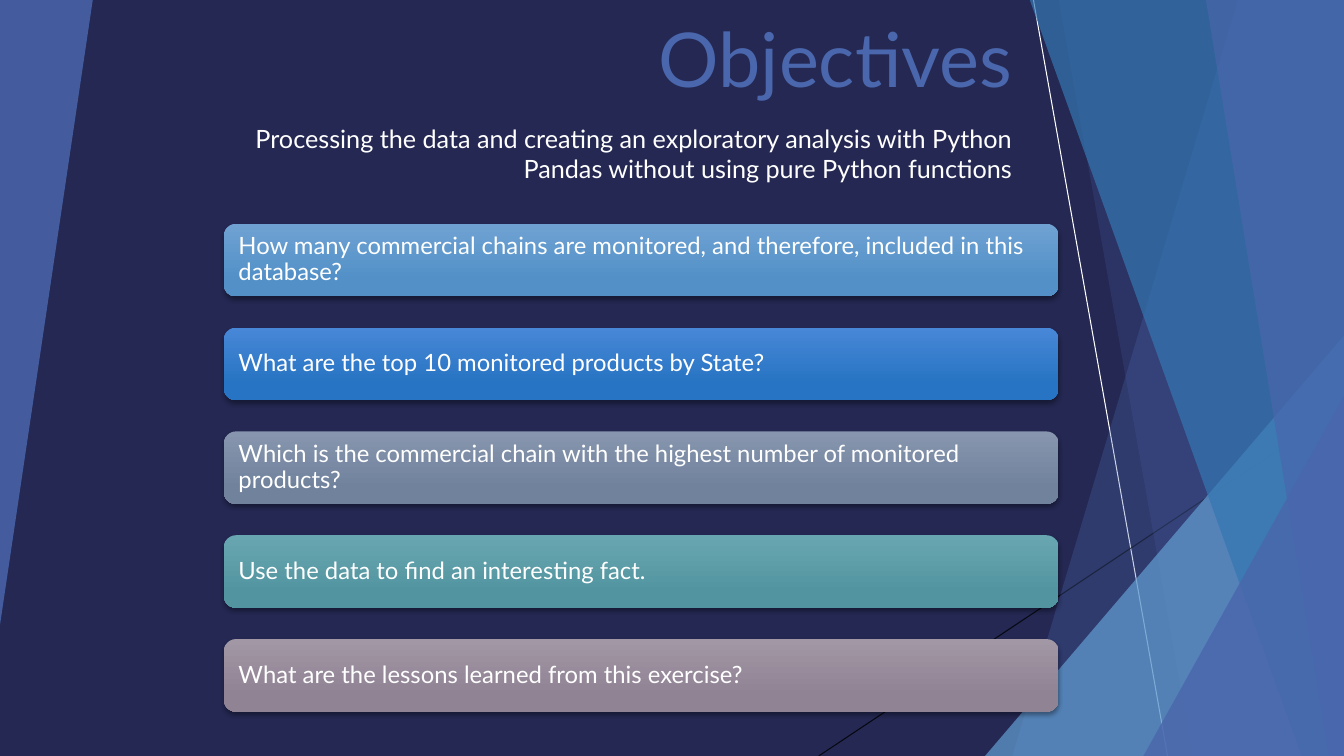
from dataclasses import dataclass

from lxml import etree
from pptx import Presentation
from pptx.dml.color import RGBColor
from pptx.enum.shapes import MSO_CONNECTOR, MSO_SHAPE
from pptx.enum.text import MSO_ANCHOR, MSO_AUTO_SIZE, PP_ALIGN
from pptx.oxml.ns import qn
from pptx.util import Inches, Pt

STRAIGHT = MSO_CONNECTOR.STRAIGHT
TRIANGLE, ROUNDED = MSO_SHAPE.RIGHT_TRIANGLE, MSO_SHAPE.ROUNDED_RECTANGLE
TRIANGLE = MSO_SHAPE.ISOSCELES_TRIANGLE
TOP, MIDDLE, BOTTOM = MSO_ANCHOR.TOP, MSO_ANCHOR.MIDDLE, MSO_ANCHOR.BOTTOM
LEFT, RIGHT = PP_ALIGN.LEFT, PP_ALIGN.RIGHT
NO_FIT = MSO_AUTO_SIZE.NONE

NAVY = RGBColor(0x24, 0x28, 0x52)
INDIGO = RGBColor(0x4A, 0x66, 0xAC)
SKY = RGBColor(0x62, 0x9D, 0xD1)
OCEAN = RGBColor(0x34, 0x77, 0xB2)
WHITE = RGBColor(0xFF, 0xFF, 0xFF)
BLACK = RGBColor(0, 0, 0)
FONT = "Lato"
WIDTH, HEIGHT = 13.33, 7.5
BAND_TOP = -0.01


@dataclass
class Ray:
    """A thin line across the facets."""
    start: tuple[float, float]
    end: tuple[float, float]
    color: RGBColor
    opacity: int


@dataclass
class Band:
    """A facet that reaches the right edge, with a slanted left side."""
    top_x: float
    bottom_x: float
    color: RGBColor
    opacity: int


@dataclass
class Wedge:
    """A triangle with its apex above its right corner."""
    left: float
    top: float
    width: float
    height: float
    color: RGBColor
    opacity: int
    rotation: int = 0


@dataclass
class Objective:
    """One question and the gradient of its bar."""
    text: str
    light: RGBColor
    dark: RGBColor


RAYS = [Ray((10.25, 0), (11.58, HEIGHT), WHITE, 100),
        Ray((WIDTH, 4.03), (8.12, HEIGHT), BLACK, 80)]
FACETS = [
    Band(12.28, 10.04, INDIGO, 30),
    Band(10.5, 11.83, INDIGO, 20),
    Wedge(9.77, 3.33, 3.56, 4.17, SKY, 72),
    Band(10.21, 12.91, OCEAN, 70),
    Band(11.96, 13.18, INDIGO, 65),
    Wedge(11.34, 3.93, 1.99, 3.57, INDIGO, 80),
    Wedge(0, 0, 0.92, 6.2, INDIGO, 85, 180),
]
OBJECTIVES = [
    Objective("How many commercial chains are monitored, and therefore, included in this database?",
              RGBColor(0x6F, 0xA2, 0xD3), RGBColor(0x52, 0x90, 0xC7)),
    Objective("What are the top 10 monitored products by State?",
              RGBColor(0x48, 0x87, 0xD7), RGBColor(0x26, 0x74, 0xC3)),
    Objective("Which is the commercial chain with the highest number of monitored products?",
              RGBColor(0x87, 0x96, 0xAE), RGBColor(0x71, 0x82, 0x9D)),
    Objective("Use the data to find an interesting fact.",
              RGBColor(0x68, 0xA7, 0xB2), RGBColor(0x52, 0x95, 0xA0)),
    Objective("What are the lessons learned from this exercise?",
              RGBColor(0xA2, 0x97, 0xA5), RGBColor(0x90, 0x83, 0x94)),
]
BAR_LEFT, BAR_TOP, BAR_WIDTH, BAR_HEIGHT = 2.22, 2.22, 8.28, 0.72
BAR_PITCH = 1.03


def set_opacity(holder, percent: int) -> None:
    """Give the solid colours inside an XML element an opacity."""
    for color in holder.iter(qn("a:srgbClr")):
        etree.SubElement(color, qn("a:alpha"), val=str(percent * 1000))


def add_ray(page, ray: Ray) -> None:
    """Draw one thin line without a shadow."""
    line = page.shapes.add_connector(
        STRAIGHT, *(Inches(value) for value in ray.start + ray.end))
    line.line.color.rgb = ray.color
    line.line.width = Pt(0.75)
    set_opacity(line.element, ray.opacity)
    etree.SubElement(line.element.spPr, qn("a:effectLst"))


def add_facet(page, facet: Band | Wedge) -> None:
    """Draw one translucent facet."""
    if isinstance(facet, Band):
        builder = page.shapes.build_freeform(Inches(facet.top_x), Inches(BAND_TOP))
        corners = [(WIDTH, BAND_TOP), (WIDTH, HEIGHT), (facet.bottom_x, HEIGHT)]
        builder.add_line_segments([(Inches(x), Inches(y)) for x, y in corners])
        shape = builder.convert_to_shape()
    else:
        shape = page.shapes.add_shape(
            TRIANGLE, Inches(facet.left), Inches(facet.top),
            Inches(facet.width), Inches(facet.height))
        shape.adjustments[0] = 1
        shape.rotation = facet.rotation
    shape.shadow.inherit = False
    shape.fill.solid()
    shape.fill.fore_color.rgb = facet.color
    shape.line.fill.background()
    set_opacity(shape.element, facet.opacity)


def write(box, text: str, size: int, color: RGBColor, align, anchor):
    """Write one paragraph into a shape and return it."""
    frame = box.text_frame
    frame.word_wrap = True
    frame.auto_size = NO_FIT
    frame.vertical_anchor = anchor
    para = frame.paragraphs[0]
    para.alignment = align
    span = para.add_run()
    span.text = text
    span.font.name = FONT
    span.font.size = Pt(size)
    span.font.color.rgb = color
    return para


def place(box, left: float, top: float, width: float, height: float) -> None:
    """Move and resize a placeholder."""
    box.left, box.top = Inches(left), Inches(top)
    box.width, box.height = Inches(width), Inches(height)


def add_bar(page, top: float, objective: Objective) -> None:
    """Draw one objective as a gradient bar with a soft shadow."""
    bar = page.shapes.add_shape(ROUNDED, Inches(BAR_LEFT), Inches(top),
                                Inches(BAR_WIDTH), Inches(BAR_HEIGHT))
    bar.line.fill.background()
    bar.fill.gradient()
    bar.fill.gradient_angle = 270
    stops = zip(bar.fill.gradient_stops, (0, 0.78), (objective.light, objective.dark))
    for stop, position, color in stops:
        stop.position = position
        stop.color.rgb = color
    bar.shadow.inherit = False
    effects = bar.element.spPr.find(qn("a:effectLst"))
    shadow = etree.SubElement(effects, qn("a:outerShdw"), blurRad=str(Pt(3)),
                              dist=str(Pt(2)), dir="5400000", rotWithShape="0")
    etree.SubElement(shadow, qn("a:srgbClr"), val=str(BLACK))
    set_opacity(shadow, 35)
    para = write(bar, objective.text, 17, WHITE, LEFT, MIDDLE)
    para.line_spacing = 0.9
    frame = bar.text_frame
    frame.margin_left = frame.margin_right = Inches(0.11)
    frame.margin_top = frame.margin_bottom = Inches(0.07)


deck = Presentation()
deck.slide_width, deck.slide_height = Inches(WIDTH), Inches(HEIGHT)
page = deck.slides.add_slide(deck.slide_layouts[0])
page.background.fill.solid()
page.background.fill.fore_color.rgb = NAVY

for ray in RAYS:
    add_ray(page, ray)
for facet in FACETS:
    add_facet(page, facet)

title, subtitle = page.placeholders
place(title, 1.65, -0.01, 8.49, 1.08)
write(title, "Objectives", 54, INDIGO, RIGHT, BOTTOM)
place(subtitle, 1.65, 1.17, 8.49, 0.72)
intro = write(subtitle, "Processing the data and creating an exploratory analysis with Python "
              "Pandas without using pure Python functions", 18, WHITE, RIGHT, TOP)
intro.space_before = Pt(10)

for index, objective in enumerate(OBJECTIVES):
    add_bar(page, BAR_TOP + index * BAR_PITCH, objective)

deck.save("out.pptx")
